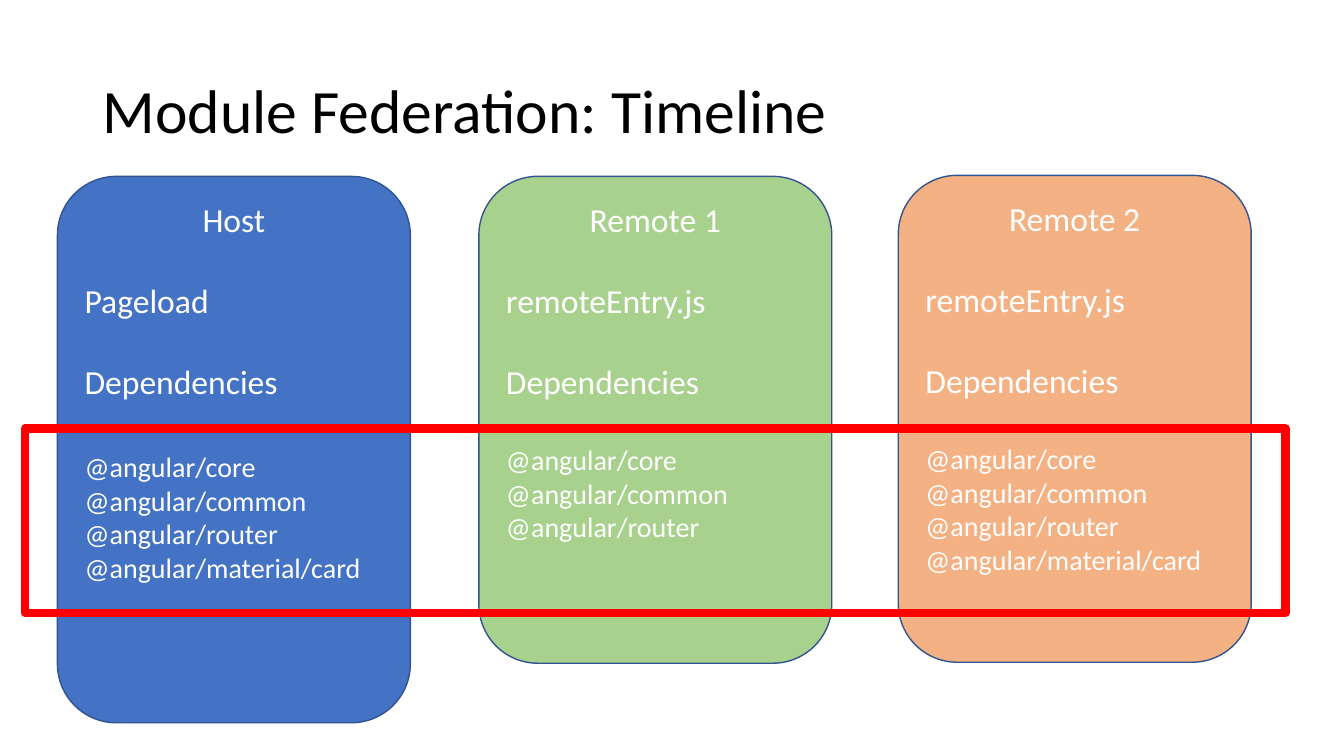
import pptx
import pptx.util
import pptx.dml.color
import pptx.enum.shapes
import pptx.enum.text

Inches = pptx.util.Inches
Pt = pptx.util.Pt
ALIGN = pptx.enum.text.PP_ALIGN
ANCHOR = pptx.enum.text.MSO_ANCHOR
SHAPE = pptx.enum.shapes.MSO_SHAPE

COLORS = {
    "title": "000000",
    "text": "FFFFFF",
    "outline": "325491",
    "host": "4472C4",
    "remote1": "A9D18E",
    "remote2": "F4B183",
    "highlight": "FF0000",
}
PACKAGES = ["@angular/core", "@angular/common", "@angular/router", "@angular/material/card"]
HEADING_GAP = 29.3
HOST_PACKAGE_GAP = 34.2


def rgb(name):
    return pptx.dml.color.RGBColor.from_string(COLORS[name])


def write(paragraph, text, size=24, color="text", align=ALIGN.LEFT, before=0, spacing=1.0):
    paragraph.alignment = align
    paragraph.space_before = Pt(before)
    paragraph.line_spacing = spacing
    run = paragraph.add_run()
    run.text = text
    run.font.name = "Calibri"
    run.font.size = Pt(size)
    run.font.color.rgb = rgb(color)


def add_title(slide, text):
    title = slide.shapes.title
    title.left, title.top = Inches(0.92), Inches(0.4)
    title.width, title.height = Inches(11.5), Inches(1.45)
    frame = title.text_frame
    frame.auto_size = pptx.enum.text.MSO_AUTO_SIZE.NONE
    frame.vertical_anchor = ANCHOR.MIDDLE
    write(frame.paragraphs[0], text, size=44, color="title", spacing=0.9)


def add_box(slide, kind, left, top, width, height, line, weight, fill=None):
    box = slide.shapes.add_shape(kind, Inches(left), Inches(top), Inches(width), Inches(height))
    box.shadow.inherit = False
    if fill:
        box.fill.solid()
        box.fill.fore_color.rgb = rgb(fill)
    else:
        box.fill.background()
    box.line.color.rgb = rgb(line)
    box.line.width = Pt(weight)
    return box


def add_application(slide, name, entry, packages, left, top, height, fill, package_gap=HEADING_GAP):
    card = add_box(slide, SHAPE.ROUNDED_RECTANGLE, left, top, 3.5, height, "outline", 1, fill)
    frame = card.text_frame
    frame.word_wrap = True
    frame.vertical_anchor = ANCHOR.TOP
    write(frame.paragraphs[0], name, align=ALIGN.CENTER)
    for step in (entry, "Dependencies"):
        write(frame.add_paragraph(), step, before=HEADING_GAP)
    for index, package_name in enumerate(packages):
        write(frame.add_paragraph(), package_name, size=20, before=0 if index else package_gap)


def main():
    deck = pptx.Presentation()
    deck.slide_width, deck.slide_height = Inches(13.33), Inches(7.5)
    slide = deck.slides.add_slide(deck.slide_layouts[5])
    add_title(slide, "Module Federation: Timeline")
    add_application(slide, "Remote 1", "remoteEntry.js", PACKAGES[:3], 4.75, 1.75, 4.83, "remote1")
    add_application(slide, "Remote 2", "remoteEntry.js", PACKAGES, 8.91, 1.74, 4.83, "remote2")
    add_application(slide, "Host", "Pageload", PACKAGES, 0.57, 1.75, 5.42, "host", HOST_PACKAGE_GAP)
    add_box(slide, SHAPE.RECTANGLE, 0.25, 4.25, 12.5, 1.83, "highlight", 6)
    deck.save("out.pptx")


if __name__ == "__main__":
    main()
